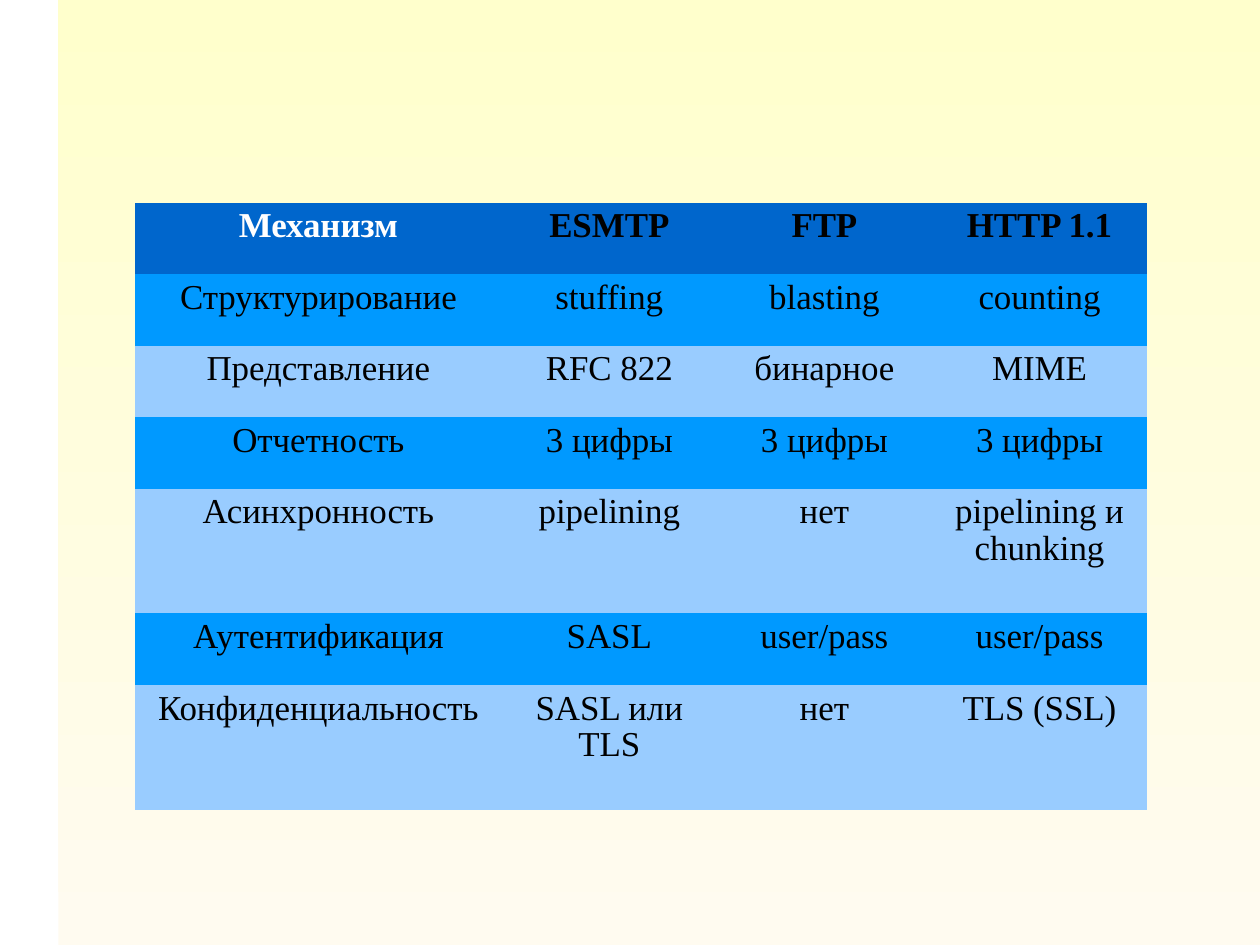
"""Build a slide with a table comparing the mechanisms of ESMTP, FTP and HTTP."""
import pptx
import pptx.dml.color
import pptx.enum.shapes
import pptx.enum.text
import pptx.oxml.ns
import pptx.util
from pptx.util import Cm

COLOURS = {
    "panel_bottom": "FFFBF0",
    "panel_top": "FFFFCC",
    "header": "0066CC",
    "odd_row": "0099FF",
    "even_row": "99CCFF",
    "text": "000000",
    "corner_text": "FFFFFF",
}
FONT = "Times New Roman"
NO_STYLE = "{2D5ABB26-0587-4C30-8999-92F81FD0307C}"
COLUMN_WIDTHS = [8.15, 4.78, 4.78, 4.78]
SINGLE, DOUBLE = 1.59, 2.77
ROW_HEIGHTS = [SINGLE, SINGLE, SINGLE, SINGLE, DOUBLE, SINGLE, DOUBLE]
MECHANISMS = [
    ["Механизм", "ESMTP", "FTP", "HTTP 1.1"],
    ["Структурирование", "stuffing", "blasting", "counting"],
    ["Представление", "RFC 822", "бинарное", "MIME"],
    ["Отчетность", "3 цифры", "3 цифры", "3 цифры"],
    ["Асинхронность", "pipelining", "нет", "pipelining и chunking"],
    ["Аутентификация", "SASL", "user/pass", "user/pass"],
    ["Конфиденциальность", "SASL или TLS", "нет", "TLS (SSL)"],
]


def colour(name):
    return pptx.dml.color.RGBColor.from_string(COLOURS[name])


def add_panel(page, left, top, width, height):
    panel = page.shapes.add_shape(
        pptx.enum.shapes.MSO_SHAPE.RECTANGLE, Cm(left), Cm(top), Cm(width), Cm(height))
    panel.shadow.inherit = False
    panel.line.fill.background()
    panel.fill.gradient()
    panel.fill.gradient_angle = 90
    for stop, name in zip(panel.fill.gradient_stops, ["panel_bottom", "panel_top"]):
        stop.color.rgb = colour(name)


def fill_cell(cell, text, fill, text_colour, bold):
    cell.fill.solid()
    cell.fill.fore_color.rgb = colour(fill)
    cell.text = text
    para = cell.text_frame.paragraphs[0]
    para.alignment = pptx.enum.text.PP_ALIGN.CENTER
    para.line_spacing = 0.95
    para.font.name = FONT
    para.font.size = pptx.util.Pt(22)
    para.font.bold = bold
    para.font.color.rgb = colour(text_colour)


def add_mechanism_table(page, left, top):
    table = page.shapes.add_table(
        len(MECHANISMS), len(COLUMN_WIDTHS), Cm(left), Cm(top),
        Cm(sum(COLUMN_WIDTHS)), Cm(sum(ROW_HEIGHTS))).table
    table.first_row = table.horz_banding = False
    table._tbl.tblPr.find(pptx.oxml.ns.qn("a:tableStyleId")).text = NO_STYLE
    for column, width in zip(table.columns, COLUMN_WIDTHS):
        column.width = Cm(width)
    for index, (row, height) in enumerate(zip(table.rows, ROW_HEIGHTS)):
        row.height = Cm(height)
        is_header = index == 0
        fill = "header" if is_header else "odd_row" if index % 2 else "even_row"
        for position, text in enumerate(MECHANISMS[index]):
            is_corner = is_header and position == 0
            text_colour = "corner_text" if is_corner else "text"
            fill_cell(row.cells[position], text, fill, text_colour, is_header)


def main():
    deck = pptx.Presentation()
    deck.slide_width, deck.slide_height = Cm(28), Cm(21)
    page = deck.slides.add_slide(deck.slide_layouts[6])
    add_panel(page, 1.3, 0, 26.7, 21)
    add_mechanism_table(page, 3, 4.5)
    deck.save("out.pptx")


if __name__ == "__main__":
    main()
